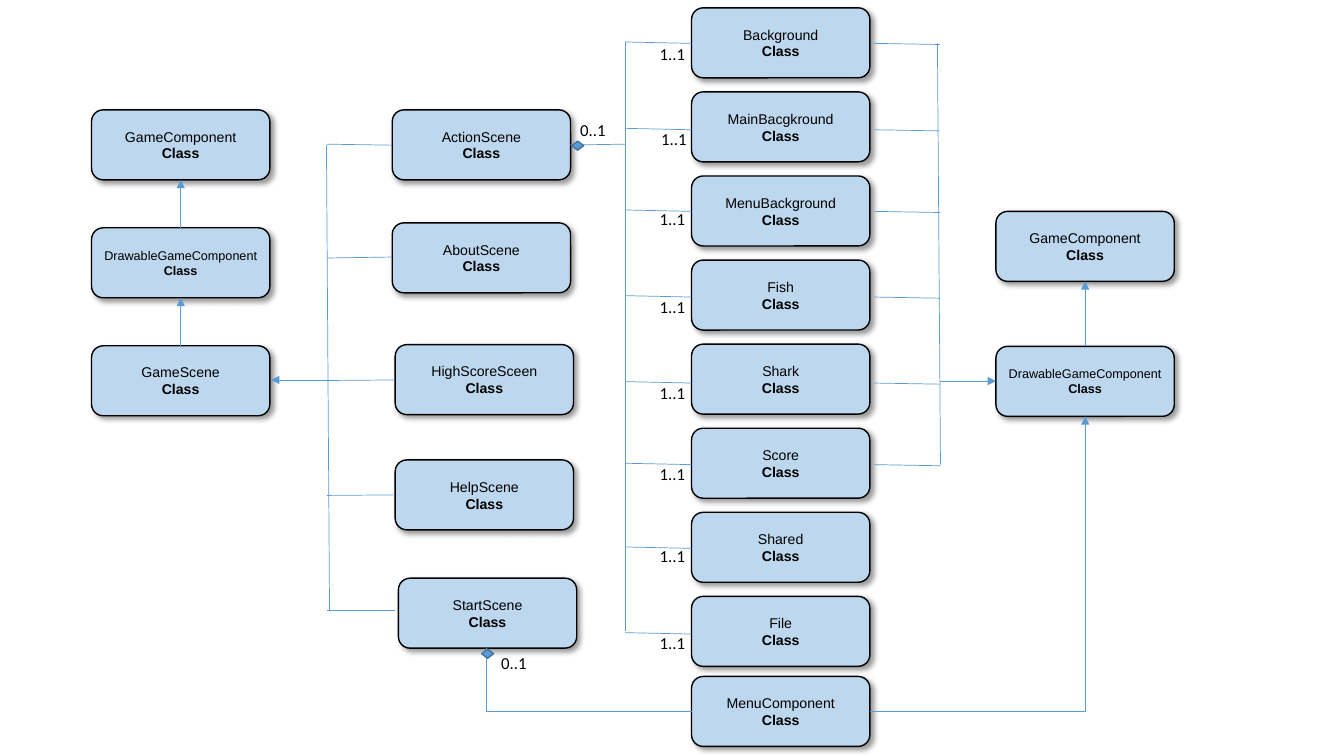
from dataclasses import dataclass
from pptx import Presentation
from pptx.dml.color import RGBColor
from pptx.enum.shapes import MSO_CONNECTOR, MSO_SHAPE
from pptx.enum.text import MSO_ANCHOR, MSO_AUTO_SIZE, PP_ALIGN
from pptx.oxml import parse_xml
from pptx.oxml.ns import nsdecls, qn
from pptx.util import Pt


@dataclass(frozen=True)
class Theme:
    card_fill: RGBColor = RGBColor(0xBD, 0xD7, 0xEE)
    ink: RGBColor = RGBColor(0, 0, 0)
    link: RGBColor = RGBColor(0x5B, 0x9B, 0xD5)
    diamond_edge: RGBColor = RGBColor(0x43, 0x73, 0x9E)
    card_font: str = "Arial"
    label_font: str = "Calibri"
    name_size: float = 10.1
    long_name_size: float = 9
    label_size: float = 12
    card_width: float = 127.4
    card_height: float = 50


@dataclass(frozen=True)
class Box:
    left: float
    top: float
    width: float
    height: float

    def point(self, x, y):
        return Pt(self.left + x), Pt(self.top + y)


THEME = Theme()
SHADOW = (f'<a:outerShdw {nsdecls("a")} blurRad="50800" dist="38100" dir="2700000" '
          'algn="tl" rotWithShape="0"><a:srgbClr val="000000"><a:alpha val="40000"/>'
          '</a:srgbClr></a:outerShdw>')


def add_span(para, text, size, font, bold=False):
    span = para.add_run()
    span.text = text
    span.font.size = Pt(size)
    span.font.name = font
    span.font.bold = bold
    span.font.color.rgb = THEME.ink


def add_shape(page, kind, position, width, height, fill, edge):
    shape = page.shapes.add_shape(kind, *position, Pt(width), Pt(height))
    shape.shadow.inherit = False
    shape.fill.solid()
    shape.fill.fore_color.rgb = fill
    shape.line.color.rgb = edge
    shape.line.width = Pt(1)
    return shape


def add_card(page, box, x, y, name):
    card = add_shape(page, MSO_SHAPE.ROUNDED_RECTANGLE, box.point(x, y),
                     THEME.card_width, THEME.card_height, THEME.card_fill, THEME.ink)
    card._element.spPr.find(qn("a:effectLst")).append(parse_xml(SHADOW))
    frame = card.text_frame
    frame.word_wrap = True
    frame.vertical_anchor = MSO_ANCHOR.MIDDLE
    frame.margin_left = frame.margin_right = Pt(4.3)
    frame.margin_top = frame.margin_bottom = Pt(2.2)
    size = THEME.long_name_size if len(name) > 16 else THEME.name_size
    for para, text in ((frame.paragraphs[0], name), (frame.add_paragraph(), "Class")):
        para.alignment = PP_ALIGN.CENTER
        add_span(para, text, size, THEME.card_font, bold=text == "Class")


def add_link(page, box, start, end, arrow=False, bent=False):
    kind = MSO_CONNECTOR.ELBOW if bent else MSO_CONNECTOR.STRAIGHT
    link = page.shapes.add_connector(kind, *box.point(*start), *box.point(*end))
    link.line.color.rgb = THEME.link
    link.line.width = Pt(0.5)
    properties = link._element.spPr
    if bent:  # a single corner: across first, then up
        properties.find(qn("a:prstGeom")).set("prst", "bentConnector2")
    if arrow:
        properties.find(qn("a:ln")).append(
            parse_xml(f'<a:tailEnd {nsdecls("a")} type="triangle"/>'))
    properties.append(parse_xml(f'<a:effectLst {nsdecls("a")}/>'))


def add_diamond(page, box, x, y):
    add_shape(page, MSO_SHAPE.DIAMOND, box.point(x, y), 8.6, 6.5,
              THEME.link, THEME.diamond_edge)


def add_label(page, box, x, y, text):
    frame = page.shapes.add_textbox(*box.point(x, y), Pt(33.1), Pt(21.8)).text_frame
    frame.word_wrap = False
    frame.auto_size = MSO_AUTO_SIZE.SHAPE_TO_FIT_TEXT
    para = frame.paragraphs[0]
    para.alignment = PP_ALIGN.CENTER
    add_span(para, text, THEME.label_size, THEME.label_font)


def draw_inheritance(page, box, names):
    pitch = (box.height - THEME.card_height) / (len(names) - 1)
    middle = box.width / 2
    for index, name in enumerate(names):
        add_card(page, box, 0, index * pitch, name)
        if index:
            parent_bottom = (index - 1) * pitch + THEME.card_height
            add_link(page, box, (middle, index * pitch), (middle, parent_bottom), arrow=True)


def draw_scenes(page, box):
    # name, card left, card top, branch height, branch tilt
    scenes = (("ActionScene", 86.6, 0, 25.2, -0.7),
              ("AboutScene", 86.6, 80.7, 105.1, 0.7),
              ("HighScoreSceen", 88.7, 167.7, 192.9, 0.4),
              ("HelpScene", 88.7, 250, 275, 0.4),
              ("StartScene", 91, 334.5, 357.8, 0))
    for name, left, top, branch, tilt in scenes:
        add_card(page, box, left, top, name)
        add_link(page, box, (min(left, 88.7), branch), (40, branch + tilt))
    # Trunk and arrow to the shared parent
    add_link(page, box, (41.8, 357.8), (39.6, 25.2))
    add_link(page, box, (40.3, 192.9), (0, 192.9), arrow=True)


def draw_parts(page, box):
    # name, branch height, multiplicity top
    parts = (("Background", 25.4, 21.8), ("MainBacgkround", 87.1, 83),
             ("MenuBackground", 145.4, 139.8), ("Fish", 206.6, 202.5),
             ("Shark", 268, 264.4), ("Score", 326.3, 322),
             ("Shared", 386.1, 381), ("File", 447.3, 443))
    card_left, owner_trunk, parent_trunk = 87, 39.6, 264.4
    pitch = (box.height - THEME.card_height) / (len(parts) - 1)
    drawable_count = 6
    for index, (name, branch, label_top) in enumerate(parts):
        add_card(page, box, card_left, index * pitch, name)
        add_link(page, box, (card_left, branch), (owner_trunk, branch - 1))
        add_label(page, box, 57.8 if index == 1 else 56.8, label_top, "1..1")
        if index < drawable_count:
            add_link(page, box, (parent_trunk, branch + 0.8), (217.2, branch))
    # Trunk and diamond at the owner scene
    add_link(page, box, (owner_trunk, 445.1), (owner_trunk, 24.6))
    add_link(page, box, (owner_trunk, 97.4), (0, 98))
    add_diamond(page, box, 1.4, 95.2)
    add_label(page, box, 0, 76.5, "0..1")
    # Trunk and arrow to the shared parent
    add_link(page, box, (264.8, 326.3), (262.6, 25.4))
    add_link(page, box, (264.8, 266.6), (box.width, 266.6), arrow=True)


def draw_menu(page, box):
    card_left, card_top = 150, box.height - THEME.card_height
    middle = card_top + THEME.card_height / 2
    add_card(page, box, card_left, card_top, "MenuComponent")
    add_link(page, box, (card_left, middle), (3.8, 165.6), bent=True)
    add_diamond(page, box, 0, 166.3)
    add_label(page, box, 6.6, 165.6, "0..1")
    add_link(page, box, (card_left + THEME.card_width, middle), (box.width, 0),
             arrow=True, bent=True)


deck = Presentation()
deck.slide_width, deck.slide_height = Pt(960), Pt(540)
page = deck.slides.add_slide(deck.slide_layouts[6])

draw_inheritance(page, Box(65.4, 78.5, THEME.card_width, 218.5),
                 ("GameComponent", "DrawableGameComponent", "GameScene"))
draw_inheritance(page, Box(711.4, 151, THEME.card_width, 146.4),
                 ("GameComponent", "DrawableGameComponent"))
draw_scenes(page, Box(193.6, 78.5, 218.4, 384.5))
draw_parts(page, Box(407, 5.6, 304.4, 470.4))
draw_menu(page, Box(344, 297.4, 431.2, 235.8))

deck.save("out.pptx")
